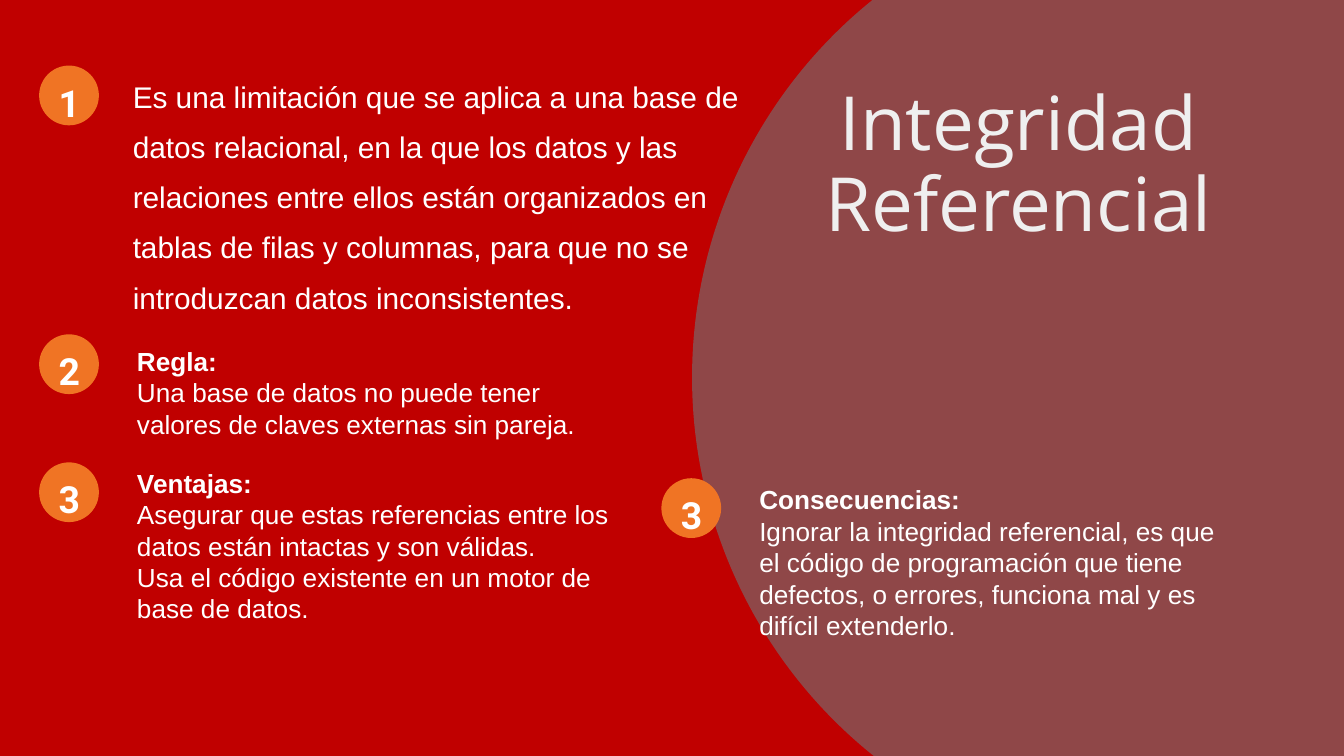
import pptx
import pptx.util
import pptx.dml.color
import pptx.enum.shapes
import pptx.enum.text
import pptx.oxml
import pptx.oxml.ns

Cm, Pt = pptx.util.Cm, pptx.util.Pt
ALIGN = pptx.enum.text.PP_ALIGN

# Content
TITLE = "Integridad Referencial"
DEFINITION = (
    "Es una limitación que se aplica a una base de datos relacional, en la que los datos "
    "y las relaciones entre ellos están organizados en tablas de filas y columnas, "
    "para que no se introduzcan datos inconsistentes."
)
# Badge number, badge left and top (cm), top of the text (cm), heading, sentences
POINTS = [
    ("2", 0.74, 6.32, 6.40, "Regla:", [
        "Una base de datos no puede tener valores de claves externas sin pareja."]),
    ("3", 0.74, 8.74, 8.71, "Ventajas:", [
        "Asegurar que estas referencias entre los datos están intactas y son válidas.",
        "Usa el código existente en un motor de base de datos."]),
    ("3", 12.50, 9.04, 9.02, "Consecuencias:", [
        "Ignorar la integridad referencial, es que el código de programación que tiene "
        "defectos, o errores, funciona mal y es difícil extenderlo."]),
]

# Formats
COLOURS = {"background": "C00000", "circle": "32D1D5", "badge": "F07424",
           "text": "FFFFFF", "title": "EFEFEF"}
CIRCLE_OPACITY = 34
TITLE_FONT = {"name": "Open Sans", "size": Pt(40), "bold": False}
DEFINITION_FONT = {"name": "Arial", "size": Pt(16)}
NUMBER_FONT = {"name": "Roboto", "size": Pt(20), "bold": True}
HEADING_FONT = {"name": "Arial", "size": Pt(14), "bold": True}
BODY_FONT = {"name": "Arial", "size": Pt(14), "bold": False}
BADGE_SIZE = 1.13
TEXT_OFFSET = 1.6


def colour(name):
    return pptx.dml.color.RGBColor.from_string(COLOURS[name])


def write(box, lines, inset=True, text_colour="text", **layout):
    """Fill a box with (text, font) lines, one paragraph each."""
    frame = box.text_frame
    frame.word_wrap = True
    frame.auto_size = pptx.enum.text.MSO_AUTO_SIZE.NONE
    frame.vertical_anchor = pptx.enum.text.MSO_ANCHOR.TOP
    if not inset:
        for side in ("left", "top", "right", "bottom"):
            setattr(frame, f"margin_{side}", 0)
    for index, (text, font) in enumerate(lines):
        para = frame.add_paragraph() if index else frame.paragraphs[0]
        for key, value in layout.items():
            setattr(para, key, value)
        span = para.add_run()
        span.text = text
        for key, value in font.items():
            setattr(span.font, key, value)
        span.font.color.rgb = colour(text_colour)


def add_box(page, left, top, width, height):
    return page.shapes.add_textbox(Cm(left), Cm(top), Cm(width), Cm(height))


def add_disc(page, left, top, width, height, fill):
    disc = page.shapes.add_shape(pptx.enum.shapes.MSO_SHAPE.OVAL,
                                 Cm(left), Cm(top), Cm(width), Cm(height))
    disc.shadow.inherit = False
    disc.fill.solid()
    disc.fill.fore_color.rgb = colour(fill)
    disc.line.fill.background()
    return disc


def add_badge(page, number, left, top):
    add_disc(page, left, top, BADGE_SIZE, BADGE_SIZE, "badge")
    box = add_box(page, left + 0.14, top + 0.27, 0.86, 0.86)
    write(box, [(number, NUMBER_FONT)], inset=False, alignment=ALIGN.CENTER)


def main():
    deck = pptx.Presentation()
    deck.slide_width, deck.slide_height = Cm(25.4), Cm(14.29)
    page = deck.slides.add_slide(deck.slide_layouts[5])
    page.background.fill.solid()
    page.background.fill.fore_color.rgb = colour("background")

    # Large translucent circle, behind the title
    circle = add_disc(page, 13.08, -2.01, 18.21, 18.29, "circle")
    shade = circle.fill._xPr.find(".//" + pptx.oxml.ns.qn("a:srgbClr"))
    alpha = pptx.oxml.parse_xml(
        f'<a:alpha {pptx.oxml.ns.nsdecls("a")} val="{CIRCLE_OPACITY * 1000}"/>')
    shade.append(alpha)
    title = page.shapes.title
    title._element.addprevious(circle._element)

    # Title
    place = {"left": Cm(14.1), "top": Cm(1.63), "width": Cm(10.29), "height": Cm(3.07)}
    for key, value in place.items():
        setattr(title, key, value)
    write(title, [(TITLE, TITLE_FONT)], inset=False, text_colour="title",
          alignment=ALIGN.CENTER, line_spacing=0.9)

    # Definition
    add_badge(page, "1", 0.74, 1.24)
    write(add_box(page, 2.51, 1.22, 11.86, 4.78), [(DEFINITION, DEFINITION_FONT)],
          inset=False, line_spacing=1.4)

    # Numbered points
    for number, left, top, text_top, heading, sentences in POINTS:
        add_badge(page, number, left, top)
        lines = [(heading, HEADING_FONT)] + [(text, BODY_FONT) for text in sentences]
        height = 2.06 if number == "2" else 3.25
        write(add_box(page, left + TEXT_OFFSET, text_top, 9.5, height), lines)

    deck.save("out.pptx")


if __name__ == "__main__":
    main()
